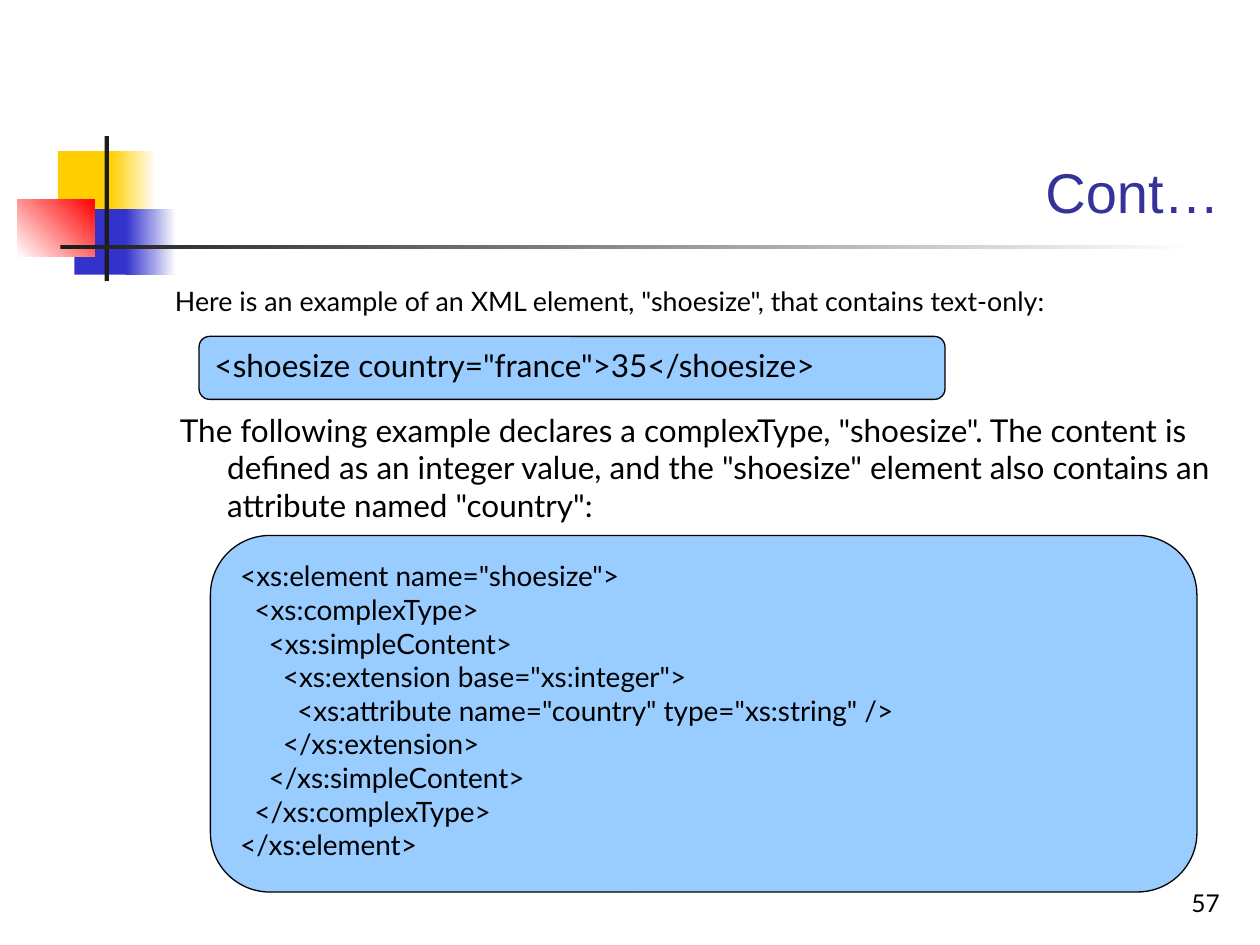
from dataclasses import dataclass
from typing import Optional

import pptx
import pptx.dml.color
import pptx.enum.shapes
import pptx.enum.text
import pptx.util

RGBColor = pptx.dml.color.RGBColor
Align = pptx.enum.text.PP_ALIGN
Anchor = pptx.enum.text.MSO_ANCHOR
Preset = pptx.enum.shapes.MSO_SHAPE

WHITE = RGBColor(0xFF, 0xFF, 0xFF)
BLACK = RGBColor(0x00, 0x00, 0x00)
CHARCOAL = RGBColor(0x1C, 0x1C, 0x1C)
YELLOW = RGBColor(0xFF, 0xCF, 0x01)
BLUE = RGBColor(0x33, 0x33, 0xCC)
RED = RGBColor(0xFF, 0x00, 0x00)
INDIGO = RGBColor(0x33, 0x33, 0x99)
SKY = RGBColor(0x99, 0xCC, 0xFF)

COLUMNS, ROWS = 100, 75
WIDTH, HEIGHT = pptx.util.Inches(10), pptx.util.Inches(7.5)
CODE_INDENT = 1.13
HANGING_INDENT = 3.75


@dataclass(frozen=True)
class Area:
    column: float
    row: float
    columns: float
    rows: float

    def lengths(self) -> tuple:
        return (across(self.column), down(self.row), across(self.columns), down(self.rows))


@dataclass(frozen=True)
class Tile:
    area: Area
    start: RGBColor
    end: Optional[RGBColor] = None
    angle: float = 0


@dataclass(frozen=True)
class Caption:
    area: Area
    text: str
    size: float
    font: str = "Lato"
    color: RGBColor = BLACK
    align: Align = Align.LEFT
    anchor: Anchor = Anchor.TOP
    hanging: bool = False


@dataclass(frozen=True)
class CodeLine:
    level: int
    text: str


@dataclass(frozen=True)
class CodePanel:
    area: Area
    size: float
    lines: tuple


TILES = (
    Tile(Area(4.6, 12, 4.8, 5.2), YELLOW),
    Tile(Area(8.8, 12, 3.6, 5.2), YELLOW, WHITE),
    Tile(Area(5.9, 16.6, 4.6, 5.2), BLUE),
    Tile(Area(10, 16.6, 4, 5.2), BLUE, WHITE),
    Tile(Area(1.4, 15.8, 6.1, 4.6), WHITE, RED, 45),
    Tile(Area(8.3, 10.8, 0.35, 11.5), CHARCOAL),
    Tile(Area(4.8, 19.45, 90, 0.35), CHARCOAL, WHITE),
)

CAPTIONS = (
    Caption(Area(12.6, 2.3, 85.2, 16), "Cont…", 32, "Arial", INDIGO, Align.RIGHT, Anchor.BOTTOM),
    Caption(
        Area(12.9, 22.1, 85, 3.8),
        'Here is an example of an XML element, "shoesize", that contains text-only:',
        15.3,
        hanging=True,
    ),
    Caption(
        Area(13.3, 32.1, 85, 11.3),
        'The following example declares a complexType, "shoesize". The content is defined as '
        'an integer value, and the "shoesize" element also contains an attribute named "country":',
        18,
        hanging=True,
    ),
    Caption(Area(77, 68.3, 20.8, 5), "57", 14, align=Align.RIGHT, anchor=Anchor.BOTTOM),
)

PANELS = (
    CodePanel(
        Area(15.8, 26.7, 59.2, 5),
        18,
        (CodeLine(0, '<shoesize country="france">35</shoesize>'),),
    ),
    CodePanel(
        Area(16.7, 42.5, 78.3, 28.3),
        16,
        (
            CodeLine(0, '<xs:element name="shoesize">'),
            CodeLine(1, "<xs:complexType>"),
            CodeLine(2, "<xs:simpleContent>"),
            CodeLine(3, '<xs:extension base="xs:integer">'),
            CodeLine(4, '<xs:attribute name="country" type="xs:string" />'),
            CodeLine(3, "</xs:extension>"),
            CodeLine(2, "</xs:simpleContent>"),
            CodeLine(1, "</xs:complexType>"),
            CodeLine(0, "</xs:element>"),
        ),
    ),
)


def across(columns: float) -> int:
    return round(WIDTH * columns / COLUMNS)


def down(rows: float) -> int:
    return round(HEIGHT * rows / ROWS)


def style_paragraph(para, size: float, font: str, color: RGBColor, align: Align) -> None:
    para.alignment = align
    for span in para.runs:
        span.font.size = pptx.util.Pt(size)
        span.font.name = font
        span.font.color.rgb = color


def indent_paragraph(para, margin: float, first: float = 0) -> None:
    properties = para._p.get_or_add_pPr()
    properties.set("marL", str(across(margin)))
    properties.set("indent", str(across(first)))


def draw_tile(page, tile: Tile) -> None:
    box = page.shapes.add_shape(Preset.RECTANGLE, *tile.area.lengths())
    box.shadow.inherit = False
    box.line.fill.background()
    if tile.end is None:
        box.fill.solid()
        box.fill.fore_color.rgb = tile.start
        return
    box.fill.gradient()
    box.fill.gradient_angle = tile.angle
    for stop, color, position in zip(box.fill.gradient_stops, (tile.start, tile.end), (0, 1)):
        stop.color.rgb = color
        stop.position = position


def draw_caption(page, caption: Caption) -> None:
    box = page.shapes.add_textbox(*caption.area.lengths())
    frame = box.text_frame
    frame.word_wrap = True
    frame.vertical_anchor = caption.anchor
    frame.text = caption.text
    para = frame.paragraphs[0]
    style_paragraph(para, caption.size, caption.font, caption.color, caption.align)
    if caption.hanging:
        para.space_before = pptx.util.Pt(4.5)
        indent_paragraph(para, HANGING_INDENT, -HANGING_INDENT)


def draw_panel(page, panel: CodePanel) -> None:
    box = page.shapes.add_shape(Preset.ROUNDED_RECTANGLE, *panel.area.lengths())
    box.shadow.inherit = False
    box.fill.solid()
    box.fill.fore_color.rgb = SKY
    box.line.color.rgb = BLACK
    box.line.width = pptx.util.Pt(0.75)
    frame = box.text_frame
    frame.word_wrap = True
    frame.vertical_anchor = Anchor.TOP
    frame.text = "\n".join(line.text for line in panel.lines)
    for para, line in zip(frame.paragraphs, panel.lines):
        style_paragraph(para, panel.size, "Lato", BLACK, Align.LEFT)
        indent_paragraph(para, line.level * CODE_INDENT)


def main() -> None:
    deck = pptx.Presentation()
    deck.slide_width, deck.slide_height = WIDTH, HEIGHT
    page = deck.slides.add_slide(deck.slide_layouts[6])
    for tile in TILES:
        draw_tile(page, tile)
    for caption in CAPTIONS:
        draw_caption(page, caption)
    for panel in PANELS:
        draw_panel(page, panel)
    deck.save("out.pptx")


if __name__ == "__main__":
    main()
